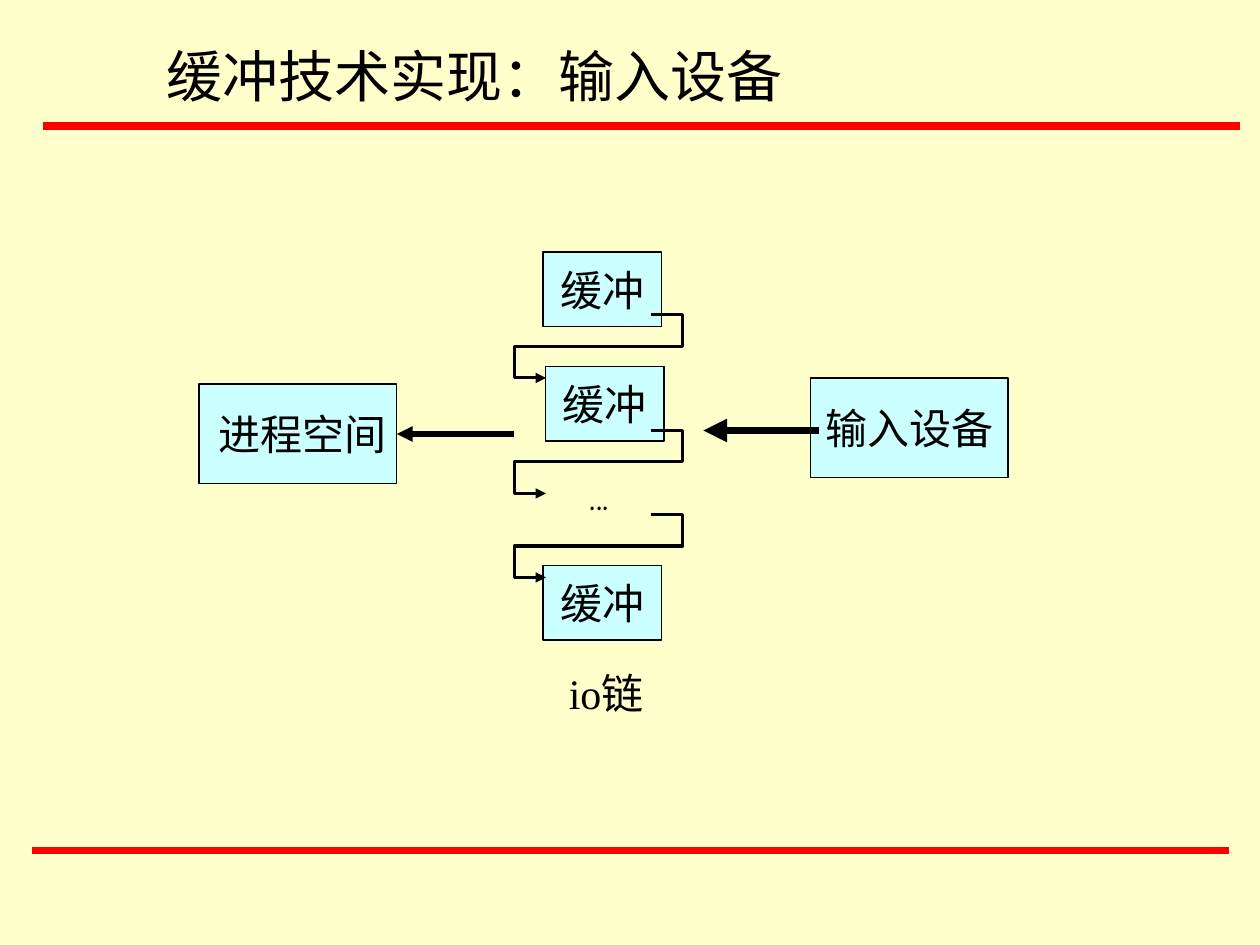
from typing import NamedTuple

from lxml.etree import SubElement
from pptx import Presentation
from pptx.dml.color import RGBColor
from pptx.enum.shapes import MSO_CONNECTOR as CONN, MSO_SHAPE as SHAPE
from pptx.enum.text import MSO_ANCHOR as ANCHOR, MSO_AUTO_SIZE as FIT, PP_ALIGN as ALIGN
from pptx.oxml.ns import qn
from pptx.util import Pt

CREAM, CYAN, RED, BLACK = "FFFFCC", "CCFFFF", "FF0000", "000000"
SERIF, COMIC = "Times New Roman", "Comic Neue"


class Box(NamedTuple):
    text: str
    left: float
    top: float
    width: float
    height: float


PROCESS = Box(" 进程空间", 113.8, 219.5, 113, 57)
DEVICE = Box("输入设备", 463, 216, 113, 57)
BUFFERS = [Box("缓冲", left, top, 67.7, 42.5)
           for left, top in ((310.3, 144), (311.8, 209.5), (310.3, 323.3))]
LABELS = [(Box("...", 330, 264, 42, 36), COMIC),
          (Box("io链", 318, 378, 72, 36), SERIF)]
TITLE = Box("缓冲技术实现：输入设备", 88, 20, 448, 46)
RULES = [(24.5, 72), (18, 486)]
RULE_LENGTH = 684
LINK_TOPS = (180, 246, 294)
LINK_STEP = 18


def rgb(color: str) -> RGBColor:
    return RGBColor.from_string(color)


def place(box: Box) -> list:
    return [Pt(v) for v in box[1:]]


def write(sp, text: str, size: float = 24, font: str = SERIF, align=ALIGN.LEFT):
    tf = sp.text_frame
    tf.text = text
    p = tf.paragraphs[0]
    p.alignment = align
    p.font.size, p.font.name = Pt(size), font
    p.font.color.rgb = rgb(BLACK)
    return tf


def add_box(s, box: Box):
    sp = s.shapes.add_shape(SHAPE.RECTANGLE, *place(box))
    sp.shadow.inherit = False
    sp.fill.solid()
    sp.fill.fore_color.rgb = rgb(CYAN)
    style_line(sp, BLACK, 0.75)
    tf = write(sp, box.text, align=ALIGN.CENTER)
    tf.word_wrap, tf.vertical_anchor = False, ANCHOR.MIDDLE
    return sp


def add_label(s, box: Box, font: str) -> None:
    sp = s.shapes.add_textbox(*place(box))
    write(sp, box.text, font=font).word_wrap = True


def style_line(sp, color: str, width: float, arrow: bool = False) -> None:
    sp.line.color.rgb = rgb(color)
    sp.line.width = Pt(width)
    if arrow:
        SubElement(sp.line._get_or_add_ln(), qn("a:tailEnd"), type="triangle")


def add_line(s, x1: float, y1: float, x2: float, y2: float, color: str,
             width: float, arrow: bool = False):
    sp = s.shapes.add_connector(CONN.STRAIGHT, Pt(x1), Pt(y1), Pt(x2), Pt(y2))
    style_line(sp, color, width, arrow)
    SubElement(sp._element.spPr, qn("a:effectLst"))
    return sp


def add_link(s, top: float) -> None:
    """Bent arrow from the right of one buffer to the left of the next."""
    middle, bottom = top + LINK_STEP, top + 2 * LINK_STEP
    points = [(390, top), (390, middle), (294, middle), (294, bottom), (312, bottom)]
    path = s.shapes.build_freeform(Pt(372), Pt(top))
    path.add_line_segments([(Pt(x), Pt(y)) for x, y in points], close=False)
    sp = path.convert_to_shape()
    sp.shadow.inherit = False
    sp.fill.background()
    style_line(sp, BLACK, 1.75, arrow=True)


def main() -> None:
    prs = Presentation()
    prs.slide_width, prs.slide_height = Pt(720), Pt(540)
    s = prs.slides.add_slide(prs.slide_layouts[5])
    s.background.fill.solid()
    s.background.fill.fore_color.rgb = rgb(CREAM)

    title = s.shapes.title
    title.left, title.top, title.width, title.height = place(TITLE)
    tf = write(title, TITLE.text, size=32)
    tf.vertical_anchor, tf.auto_size = ANCHOR.TOP, FIT.NONE

    for left, y in RULES:
        add_line(s, left, y, left + RULE_LENGTH, y, RED, 4.5)

    process = add_box(s, PROCESS)
    for box in (DEVICE, *BUFFERS):
        add_box(s, box)

    middle = PROCESS.top + PROCESS.height / 2
    to_process = add_line(s, 294, middle, 228, middle, BLACK, 3, arrow=True)
    to_process.end_connect(process, 3)
    add_line(s, 468, 246, 402, 246, BLACK, 4.5, arrow=True)

    for top in LINK_TOPS:
        add_link(s, top)
    for box, font in LABELS:
        add_label(s, box, font)

    prs.save("out.pptx")


if __name__ == "__main__":
    main()
